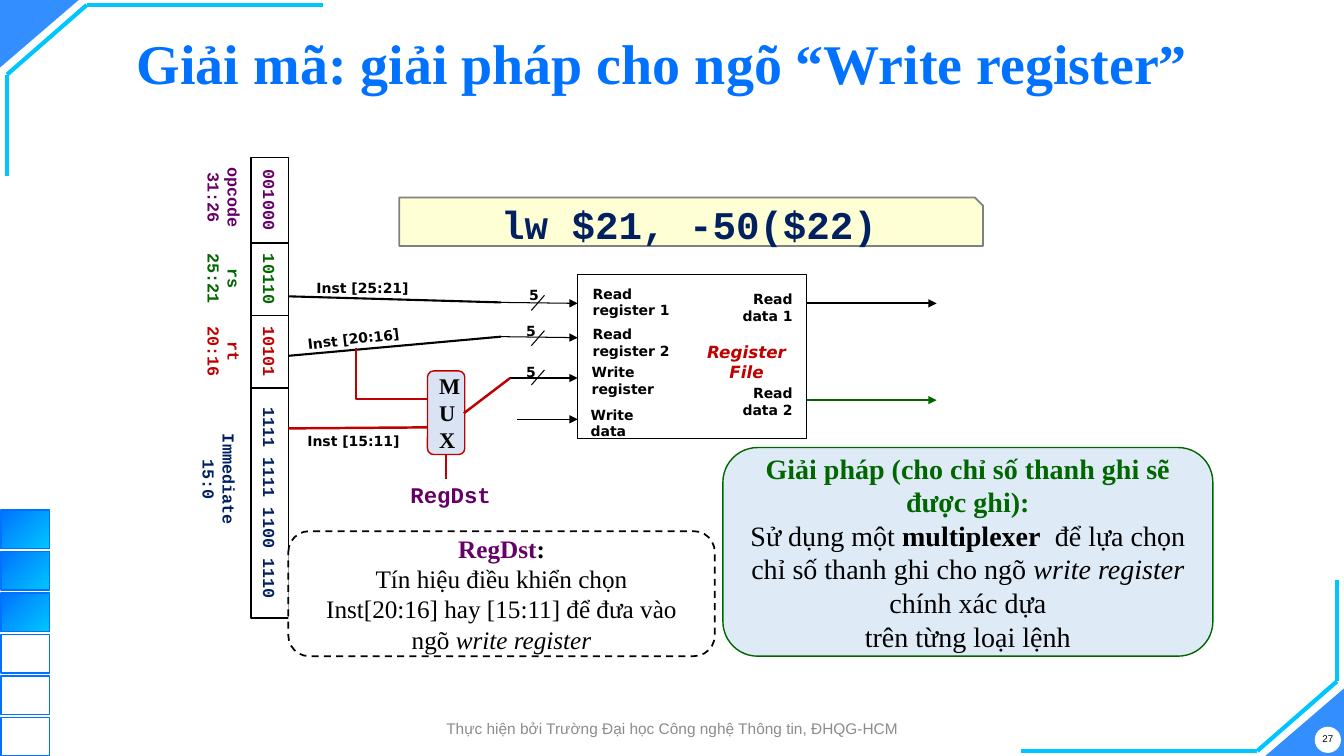
from lxml import etree
from pptx import Presentation
from pptx.dml.color import RGBColor
from pptx.enum.dml import MSO_LINE
from pptx.enum.shapes import MSO_CONNECTOR, MSO_SHAPE
from pptx.enum.text import MSO_ANCHOR, PP_ALIGN
from pptx.oxml.ns import qn
from pptx.util import Inches, Pt

RECT, ROUND, SNIP = MSO_SHAPE.RECTANGLE, MSO_SHAPE.ROUNDED_RECTANGLE, MSO_SHAPE.SNIP_1_RECTANGLE
TRIANGLE, OVAL = MSO_SHAPE.ISOSCELES_TRIANGLE, MSO_SHAPE.OVAL
STRAIGHT, DASH = MSO_CONNECTOR.STRAIGHT, MSO_LINE.DASH
TOP, MIDDLE = MSO_ANCHOR.TOP, MSO_ANCHOR.MIDDLE
LEFT, CENTER, RIGHT = PP_ALIGN.LEFT, PP_ALIGN.CENTER, PP_ALIGN.RIGHT
SERIF, SANS, MONO, PLAIN = "Times New Roman", "DejaVu Sans", "Courier New", "Arial"
BLUE, CYAN, BLACK, WHITE = "0072FF", "00C6FF", "000000", "FFFFFF"
RED, GREEN, PURPLE, NAVY = "C00000", "006600", "660066", "002060"
SLIDE_W, SLIDE_H = 13.33, 7.5


def rgb(value):
    return RGBColor.from_string(value)


def write(shape, paragraphs, font, size, color=BLACK, marks="b", align=CENTER,
          anchor=MIDDLE, wrap=True):
    """Fill a shape; a run is plain text or (text, marks, color)."""
    frame = shape.text_frame
    frame.word_wrap, frame.vertical_anchor = wrap, anchor
    frame.margin_left = frame.margin_right = Inches(0.1)
    frame.margin_top = frame.margin_bottom = Inches(0.05)
    for index, runs in enumerate(paragraphs):
        paragraph = frame.add_paragraph() if index else frame.paragraphs[0]
        paragraph.alignment = align
        for part in [runs] if isinstance(runs, str) else runs:
            text, run_marks, run_color = (part, marks, color) if isinstance(part, str) else part
            run = paragraph.add_run()
            run.text = text
            run.font.name, run.font.size = font, Pt(size)
            run.font.bold, run.font.italic = "b" in run_marks, "i" in run_marks
            run.font.color.rgb = rgb(run_color)


def label(slide, box, paragraphs, font, size, rotation=0, **style):
    textbox = slide.shapes.add_textbox(*map(Inches, box))
    textbox.rotation = rotation
    write(textbox, paragraphs, font, size, **style)


def panel(slide, kind, box, fill=None, line=None, width=1.0, opacity=100, corner=None):
    shape = slide.shapes.add_shape(kind, *map(Inches, box))
    shape.shadow.inherit = False
    if fill:
        shape.fill.solid()
        shape.fill.fore_color.rgb = rgb(fill)
        if opacity < 100:
            tint = shape._element.spPr.find(qn("a:solidFill")).find(qn("a:srgbClr"))
            etree.SubElement(tint, qn("a:alpha")).set("val", str(opacity * 1000))
    else:
        shape.fill.background()
    if line:
        shape.line.color.rgb, shape.line.width = rgb(line), Pt(width)
    else:
        shape.line.fill.background()
    if corner is not None:
        shape.adjustments[0] = corner
    return shape


def wire(slide, start, end, color=BLACK, width=0.75, arrow=False):
    connector = slide.shapes.add_connector(STRAIGHT, *map(Inches, (*start, *end)))
    connector.line.color.rgb, connector.line.width = rgb(color), Pt(width)
    properties = connector._element.spPr
    if arrow:
        etree.SubElement(properties.find(qn("a:ln")), qn("a:tailEnd")).set("type", "triangle")
    etree.SubElement(properties, qn("a:effectLst"))


def corner_frames(slide):
    """The lower right corner is the upper left one turned by half a circle."""
    w, h = 0.78, 0.67
    bends = [(3.2, 0.05), (0.86, 0.05), (0.07, 0.74), (0.07, 1.75)]
    opposite = [(SLIDE_W - x, SLIDE_H - y) for x, y in bends]
    for corner, turn, points in (((0, 0), 180, bends),
                                 ((SLIDE_W - w, SLIDE_H - h), 0, opposite)):
        panel(slide, TRIANGLE, (*corner, w, h), BLUE, opacity=80, corner=1).rotation = turn
        for start, end in zip(points, points[1:]):
            wire(slide, start, end, CYAN, 3)


def progress_squares(slide, left, top, count=6, filled=3):
    for index in range(count):
        square = panel(slide, RECT, (left, top + index * 0.412, 0.48, 0.38), line=BLUE)
        if index < filled:
            square.fill.gradient()
            square.fill.gradient_angle = 315
            for stop, color, place in zip(square.fill.gradient_stops, (BLUE, CYAN), (0, 1)):
                stop.color.rgb, stop.position = rgb(color), place


def footer(slide):
    panel(slide, OVAL, (13.04, 7.21, 0.26, 0.26), WHITE)
    label(slide, (13.01, 7.17, 0.32, 0.32), ["27"], PLAIN, 7, marks="", wrap=False)
    label(slide, (3.99, 7.08, 5.36, 0.29),
          ["Thực hiện bởi Trường Đại học Công nghệ Thông tin, ĐHQG-HCM"],
          PLAIN, 11, color="8C8C8C", marks="")


def instruction_word(slide, left, top):
    """Vertical instruction word with field names at its left."""
    thickness = 0.37
    fields = [("001000", ["opcode", "31:26"], PURPLE, 0.85, -0.02),
              ("10110", ["rs", "25:21"], GREEN, 0.72, 0),
              ("10101", ["rt", "20:16"], RED, 0.72, 0),
              ("1111 1111 1100 1110", ["Immediate", "15:0"], NAVY, 2.28, -0.23)]
    for bits, name, color, length, name_shift in fields:
        x, y = left + thickness / 2, top + length / 2
        cell = panel(slide, RECT, (x - length / 2, y - thickness / 2, length, thickness),
                     WHITE, BLACK)
        cell.rotation = 90
        write(cell, [bits], MONO, 12, color)
        name_x = left - 0.27 if name_shift > -0.1 else left - 0.32
        label(slide, (name_x - length / 2, y + name_shift - 0.28, length + 0.01, 0.55),
              name, MONO, 12, rotation=90, color=color)
        top += length


def register_file(slide, left, top, width=2.27, height=1.63):
    panel(slide, RECT, (left, top, width, height), WHITE, BLACK, 0.75)
    inputs = [("register 1", "Read", 0.05, 0.06), ("register 2", "Read", 0.05, 0.46),
              ("register", "Write", 0.04, 0.84), ("data", "Write", 0.03, 1.26)]
    for target, action, dx, dy in inputs:
        label(slide, (left + dx, top + dy, 1.2, 0.43), [action, target], SANS, 10,
              align=LEFT, anchor=TOP)
    outputs = [("data 1", 0.11, 0.29, BLACK), ("data 2", 1.05, 1.25, GREEN)]
    for source, text_dy, wire_dy, color in outputs:
        label(slide, (left + 1.23, top + text_dy, 1, 0.43), ["Read", source], SANS, 10,
              align=RIGHT, anchor=TOP)
        wire(slide, (left + width, top + wire_dy), (left + width + 1.29, top + wire_dy),
             color, 1.5, arrow=True)
    label(slide, (left + 1.08, top + 0.62, 1.19, 0.5), ["Register", "File"], SANS, 12,
          color=RED, marks="bi", anchor=TOP)

    for start_dx, start_dy, end_dy in ((0.76, 0.28, 0.29), (0.76, 0.62, 0.63),
                                       (0.67, 1.03, 1.03), (0.6, 1.44, 1.44)):
        wire(slide, (left - start_dx, top + start_dy), (left, top + end_dy), arrow=True)
    for slash_dy, width_dx, width_dy in ((0.21, 0.58, 0.07), (0.56, 0.61, 0.43),
                                         (0.95, 0.61, 0.84)):
        wire(slide, (left - 0.33, top + slash_dy), (left - 0.46, top + slash_dy + 0.15))
        label(slide, (left - width_dx, top + width_dy, 0.29, 0.26), ["5"], SANS, 10,
              anchor=TOP, wrap=False)


def selection_path(slide, left, top):
    """Wires from the instruction word (right edge at left) through the MUX."""
    for start_dy, end_dy in ((1.38, 1.44), (1.97, 1.78)):
        wire(slide, (left, top + start_dy), (left + 2.11, top + end_dy), width=1.5)
    for field, dx, dy, turn in (("25:21", 0.18, 1.16, 0), ("20:16", 0.09, 1.67, -6.6),
                                ("15:11", 0.09, 2.68, 0)):
        label(slide, (left + dx, top + dy, 1.11, 0.26), [f"Inst [{field}]"], SANS, 10,
              rotation=turn, anchor=TOP, wrap=False)

    mux_left, mux_top = left + 1.38, top + 2.12
    mux = panel(slide, ROUND, (mux_left, mux_top, 0.37, 0.83), "DAE3F3", RED)
    write(mux, ["MUX"], SERIF, 16)
    wire(slide, (left, top + 2.69), (mux_left, top + 2.68), RED, 1.75)
    wire(slide, (mux_left + 0.36, mux_top + 0.42), (left + 2.2, top + 2.19), RED, 1.75)
    wire(slide, (mux_left + 0.18, mux_top + 0.83), (mux_left + 0.18, mux_top + 1.07), RED, 1.5)
    label(slide, (mux_left - 0.27, mux_top + 1.04, 1, 0.36), ["RegDst"], MONO, 16,
          color=PURPLE, anchor=TOP, wrap=False)

    branch_x, branch_y = left + 0.67, mux_top + 0.28
    outline = slide.shapes.build_freeform(Inches(branch_x), Inches(top + 1.89))
    outline.add_line_segments([(Inches(branch_x), Inches(branch_y)),
                               (Inches(mux_left), Inches(branch_y))], close=False)
    branch = outline.convert_to_shape()
    branch.shadow.inherit = False
    branch.fill.background()
    branch.line.color.rgb, branch.line.width = rgb(RED), Pt(1.75)


def explanations(slide):
    signal = panel(slide, ROUND, (2.86, 5.27, 4.23, 1.24), WHITE, BLACK, 1.25)
    signal.line.dash_style = DASH
    write(signal, [[("RegDst", "b", PURPLE), (":", "b", BLACK)],
                   "Tín hiệu điều khiển chọn",
                   ["Inst[20:16] hay [15:11] để đưa vào ngõ ", ("write register", "i", BLACK)]],
          SERIF, 18, marks="")
    solution = panel(slide, ROUND, (7.17, 4.44, 4.86, 2.07), "DEEBF7", GREEN)
    write(solution, [[("Giải pháp (cho chỉ số thanh ghi sẽ được ghi):", "b", GREEN)],
                     ["Sử dụng một ", ("multiplexer", "b", BLACK),
                      "  để lựa chọn chỉ số thanh ghi cho ngõ ",
                      ("write register ", "i", BLACK), "chính xác dựa"],
                     "trên từng loại lệnh"],
          SERIF, 20, marks="")


def main():
    deck = Presentation()
    deck.slide_width, deck.slide_height = Inches(SLIDE_W), Inches(SLIDE_H)
    slide = deck.slides.add_slide(deck.slide_layouts[6])
    corner_frames(slide)
    progress_squares(slide, 0.01, 5.06)
    footer(slide)
    label(slide, (1.26, 0.13, 11.5, 0.98), ["Giải mã: giải pháp cho ngõ “Write register”"],
          SERIF, 40, color=BLUE, align=LEFT)
    instruction_word(slide, 2.49, 1.56)
    register_file(slide, 5.73, 2.72)
    selection_path(slide, 2.86, 1.56)
    explanations(slide)
    command = panel(slide, SNIP, (3.96, 1.96, 5.79, 0.48), "FFFFCC", "808080", 1.25, opacity=80)
    write(command, ["lw $21, -50($22)"], MONO, 28, NAVY)
    deck.save("out.pptx")


if __name__ == "__main__":
    main()
